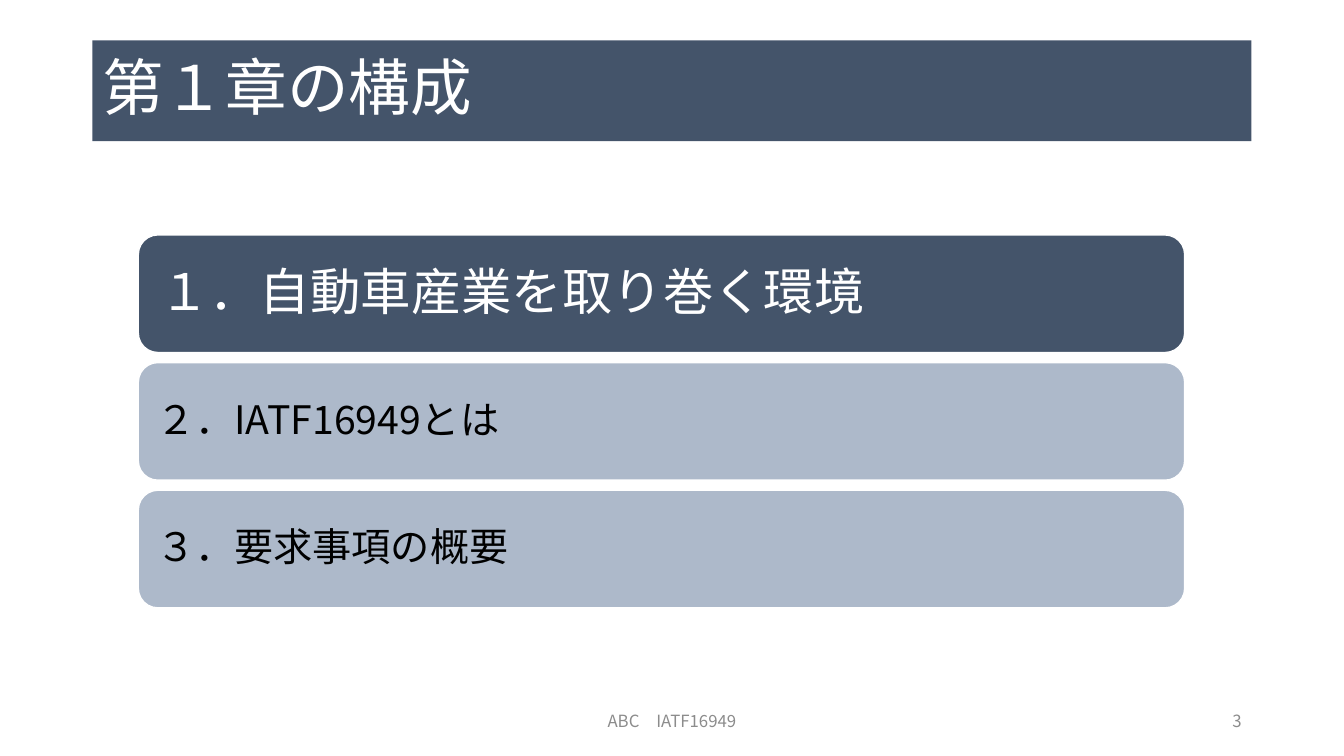
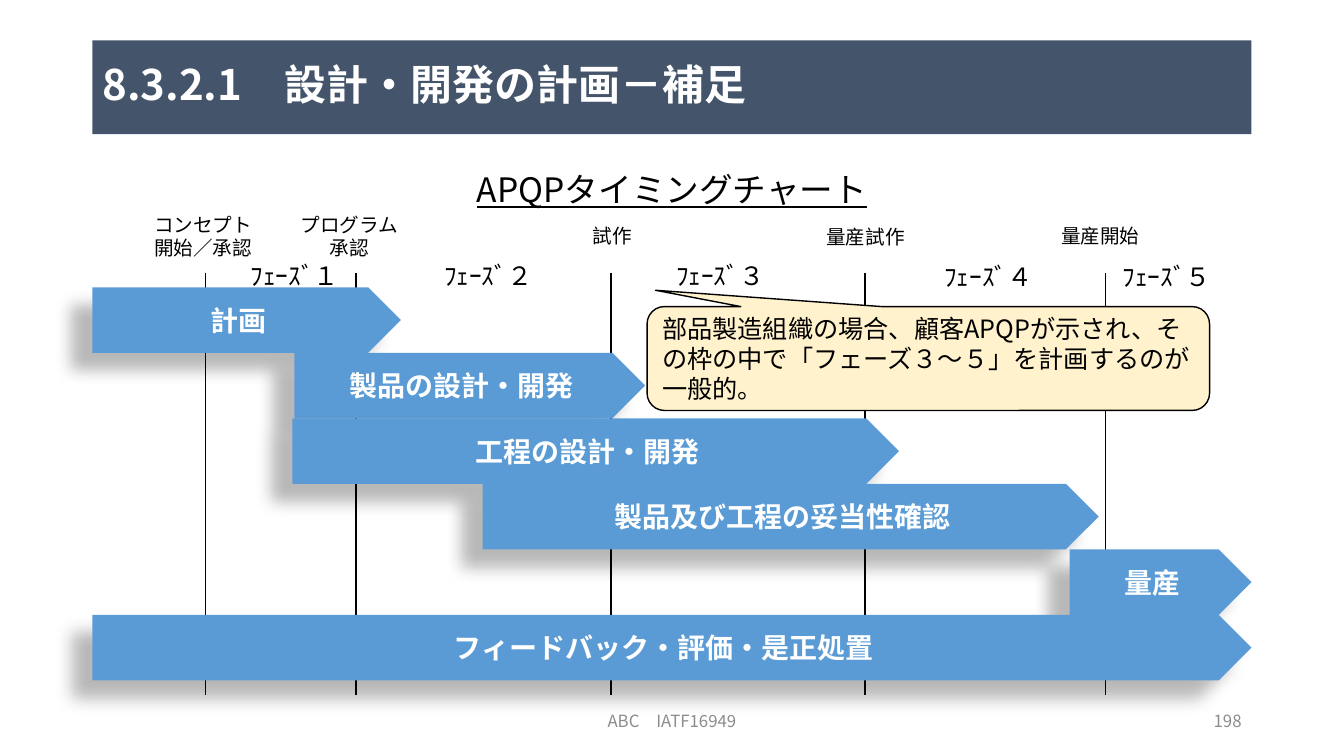
from dataclasses import dataclass
from typing import Any

from lxml import etree
from pptx import Presentation
from pptx.dml.color import RGBColor
from pptx.enum.shapes import MSO_SHAPE
from pptx.enum.text import MSO_ANCHOR, PP_ALIGN
from pptx.oxml.ns import qn
from pptx.util import Pt

RECTANGLE = MSO_SHAPE.RECTANGLE
ROUNDED = MSO_SHAPE.ROUNDED_RECTANGLE
PENTAGON = MSO_SHAPE.PENTAGON
CALLOUT = MSO_SHAPE.ROUNDED_RECTANGULAR_CALLOUT
TOP, MIDDLE = MSO_ANCHOR.TOP, MSO_ANCHOR.MIDDLE
LEFT, CENTER, RIGHT = PP_ALIGN.LEFT, PP_ALIGN.CENTER, PP_ALIGN.RIGHT

FONT = "Noto Sans CJK JP"
NAVY, PALE, BLUE, CREAM = "44546A", "ADB9CA", "5B9BD5", "FFF2CC"
WHITE, BLACK, GREY = "FFFFFF", "000000", "8C8C8C"

MARGIN, CONTENT_WIDTH = 66, 828
FOOTER = "ABC　IATF16949"


@dataclass
class Area:
    left: float
    top: float
    width: float
    height: float

    def lengths(self) -> tuple:
        return Pt(self.left), Pt(self.top), Pt(self.width), Pt(self.height)


@dataclass
class TextStyle:
    size: float
    color: str = BLACK
    align: Any = LEFT
    anchor: Any = MIDDLE
    bold: bool = False
    underline: bool = False
    spacing: float = 1.0
    inset: float | None = None


@dataclass
class Label:
    text: str
    left: float
    top: float


@dataclass
class Bar:
    text: str
    left: float
    width: float


CHAPTERS = ["１．自動車産業を取り巻く環境", "２．IATF16949とは", "３．要求事項の概要"]
CURRENT_CHAPTER = 0

COLUMN_WIDTHS = [81, 107.3, 182.2, 181.4, 172.1, 104]
MILESTONES = [
    Label("コンセプト\n開始／承認", 98, 150.4),
    Label("プログラム\n承認", 202.4, 150.4),
    Label("試作", 390.2, 150),
    Label("量産試作", 571, 150.4),
    Label("量産開始", 738.8, 150),
]
PHASES = [
    Label("ﾌｪｰｽﾞ１", 167.8, 181.6),
    Label("ﾌｪｰｽﾞ２", 306, 181.6),
    Label("ﾌｪｰｽﾞ３", 471.6, 181.6),
    Label("ﾌｪｰｽﾞ４", 663.2, 182),
    Label("ﾌｪｰｽﾞ５", 790.6, 182),
]
BAR_TOP, BAR_HEIGHT = 205.2, 46.8
BARS = [
    Bar("計画", MARGIN, 220.4),
    Bar("製品の設計・開発", 210.2, 250.6),
    Bar("工程の設計・開発", 208.8, 433.4),
    Bar("製品及び工程の妥当性確認", 344.8, 440),
    Bar("量産", 764, 130),
    Bar("フィードバック・評価・是正処置", MARGIN, CONTENT_WIDTH),
]


def rgb(value: str) -> RGBColor:
    return RGBColor.from_string(value)


def write(box: Any, text: str, style: TextStyle) -> None:
    """Fill a box with text, one paragraph per line."""
    frame = box.text_frame
    frame.word_wrap = True
    frame.vertical_anchor = style.anchor
    if style.inset is not None:
        for side in ("left", "top", "right", "bottom"):
            setattr(frame, f"margin_{side}", Pt(style.inset))
    font_values = {
        "size": Pt(style.size),
        "bold": style.bold,
        "underline": style.underline,
        "name": FONT,
    }
    for index, line in enumerate(text.split("\n")):
        para = frame.add_paragraph() if index else frame.paragraphs[0]
        para.alignment = style.align
        para.line_spacing = style.spacing
        span = para.add_run()
        span.text = line
        for name, value in font_values.items():
            setattr(span.font, name, value)
        span.font.color.rgb = rgb(style.color)
        properties = span._r.get_or_add_rPr()
        etree.SubElement(properties, qn("a:ea")).set("typeface", FONT)


def add_text(page: Any, area: Area, text: str, style: TextStyle) -> None:
    write(page.shapes.add_textbox(*area.lengths()), text, style)


def add_box(page: Any, kind: Any, area: Area, fill: str, text: str,
            style: TextStyle, line: str | None = None) -> Any:
    box = page.shapes.add_shape(kind, *area.lengths())
    box.shadow.inherit = False
    box.fill.solid()
    box.fill.fore_color.rgb = rgb(fill)
    if line:
        box.line.color.rgb = rgb(line)
        box.line.width = Pt(1)
    else:
        box.line.fill.background()
    write(box, text, style)
    return box


def add_color(parent: Any, color: str) -> Any:
    node = etree.SubElement(parent, qn("a:srgbClr"))
    node.set("val", color)
    return node


def cast_shadow(box: Any) -> None:
    """Give a box a soft shadow towards the lower left."""
    effects = box._element.spPr.find(qn("a:effectLst"))
    shadow = etree.SubElement(effects, qn("a:outerShdw"))
    values = {"blurRad": Pt(11.8), "dist": Pt(19.7), "dir": 141 * 60000,
              "algn": "ctr", "rotWithShape": 0}
    for name, value in values.items():
        shadow.set(name, str(value))
    etree.SubElement(add_color(shadow, BLACK), qn("a:alpha")).set("val", "28000")


def add_cell_border(cell: Any, side: str) -> None:
    border = etree.Element(qn(f"a:ln{side}"))
    border.set("w", str(Pt(1)))
    add_color(etree.SubElement(border, qn("a:solidFill")), BLACK)
    cell._tc.get_or_add_tcPr().insert(0, border)


def add_milestone_grid(page: Any) -> None:
    """Draw an unfilled one-row table ruled only between its columns."""
    area = Area(MARGIN, 195.2, CONTENT_WIDTH, 301)
    count = len(COLUMN_WIDTHS)
    table = page.shapes.add_table(1, count, *area.lengths()).table
    table.first_row = table.horz_banding = False
    for index, width in enumerate(COLUMN_WIDTHS):
        table.columns[index].width = Pt(width)
        cell = table.cell(0, index)
        cell.fill.background()
        if index < count - 1:
            add_cell_border(cell, "R")
        if index > 0:
            add_cell_border(cell, "L")


def add_page(deck: Any, title: str, title_height: float, title_style: TextStyle,
             number: int) -> Any:
    """Add a page with its title band, footer and page number."""
    page = deck.slides.add_slide(deck.slide_layouts[6])
    add_box(page, RECTANGLE, Area(MARGIN, 28.8, CONTENT_WIDTH, title_height),
            NAVY, title, title_style)
    add_text(page, Area(318, 500.5, 324, 28.8), FOOTER,
             TextStyle(12, GREY, CENTER))
    add_text(page, Area(678, 500.5, 216, 28.8), str(number),
             TextStyle(12, GREY, RIGHT))
    return page


def build_outline(deck: Any) -> None:
    page = add_page(deck, "第１章の構成", 72,
                    TextStyle(44, WHITE, spacing=0.9), 3)
    current = TextStyle(36, WHITE, spacing=0.9, inset=10.8)
    other = TextStyle(28, spacing=0.9, inset=8.6)
    for index, chapter in enumerate(CHAPTERS):
        is_current = index == CURRENT_CHAPTER
        add_box(page, ROUNDED, Area(98.8, 167.8 + index * 91.2, 747.4, 84),
                NAVY if is_current else PALE, chapter,
                current if is_current else other, WHITE)


def build_timing_chart(deck: Any) -> None:
    page = add_page(deck, "8.3.2.1　設計・開発の計画－補足", 67,
                    TextStyle(30, WHITE, bold=True, spacing=0.9), 198)
    add_milestone_grid(page)
    add_text(page, Area(MARGIN, 120.2, CONTENT_WIDTH, 44),
             "APQPタイミングチャート",
             TextStyle(24, align=CENTER, anchor=TOP, underline=True, spacing=0.9))
    for row, bar in enumerate(BARS):
        area = Area(bar.left, BAR_TOP + row * BAR_HEIGHT, bar.width, BAR_HEIGHT)
        cast_shadow(add_box(page, PENTAGON, area, BLUE, bar.text,
                            TextStyle(20, WHITE, CENTER, bold=True)))
    for labels, width, height, size in ((MILESTONES, 94.4, 36.8, 14),
                                        (PHASES, 85.6, 31, 18)):
        for label in labels:
            add_text(page, Area(label.left, label.top, width, height),
                     label.text, TextStyle(size, align=CENTER))
    callout = add_box(
        page, CALLOUT, Area(462.2, 219, 401.8, 74.2), CREAM,
        "部品製造組織の場合、顧客APQPが示され、その枠の中で"
        "「フェーズ３～５」を計画するのが一般的。",
        TextStyle(18), BLACK)
    for index, value in enumerate((-0.485, -0.657, 0.167)):
        callout.adjustments[index] = value


def main() -> None:
    deck = Presentation()
    deck.slide_width, deck.slide_height = Pt(960), Pt(540)
    build_outline(deck)
    build_timing_chart(deck)
    deck.save("out.pptx")


if __name__ == "__main__":
    main()
